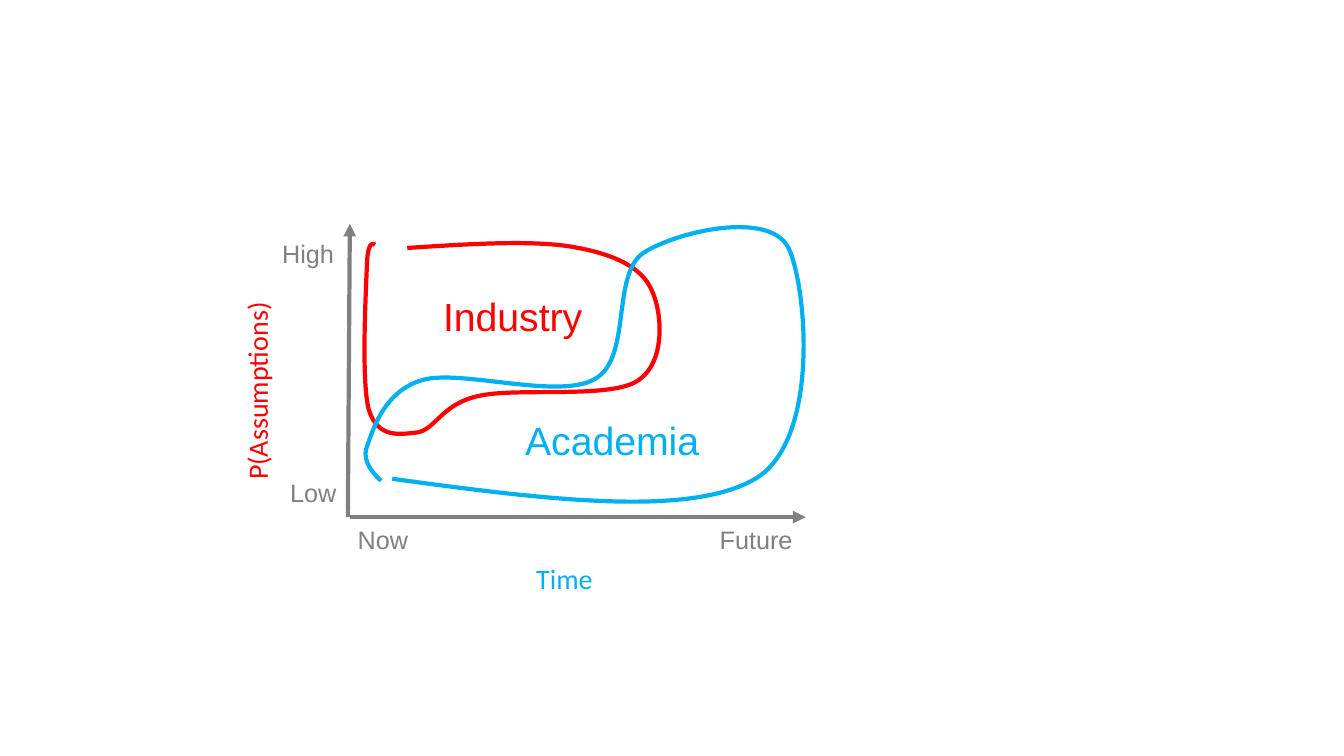
import pptx
import pptx.dml.color
import pptx.enum.dml
import pptx.enum.shapes
import pptx.enum.text
import pptx.oxml
import pptx.oxml.ns
import pptx.util
from dataclasses import dataclass

Inches = pptx.util.Inches
qn = pptx.oxml.ns.qn


@dataclass(frozen=True)
class Theme:
    red: str = "FF0000"
    blue: str = "00B0F0"
    grey: str = "808080"
    label_font: str = "Arial"
    title_font: str = "Calibri"
    tick_size: int = 18
    title_size: int = 20
    area_size: int = 28
    stroke: int = 3


class Painter:
    def __init__(self, page, theme):
        self.page = page
        self.theme = theme

    def style_text(self, para, font, size, color):
        para.font.name = font
        para.font.size = pptx.util.Pt(size)
        para.font.color.rgb = pptx.dml.color.RGBColor.from_string(color)

    def style_line(self, shape, color):
        shape.line.color.rgb = pptx.dml.color.RGBColor.from_string(color)
        shape.line.width = pptx.util.Pt(self.theme.stroke)

    def text(self, words, frame, font, size, color, rotation=0):
        box = self.page.shapes.add_textbox(*map(Inches, frame))
        box.rotation = rotation
        box.text_frame.word_wrap = False
        box.text_frame.auto_size = pptx.enum.text.MSO_AUTO_SIZE.SHAPE_TO_FIT_TEXT
        para = box.text_frame.paragraphs[0]
        para.text = words
        self.style_text(para, font, size, color)

    def arrow(self, start, end, color):
        line = self.page.shapes.add_connector(
            pptx.enum.shapes.MSO_CONNECTOR.STRAIGHT, *map(Inches, start + end))
        self.style_line(line, color)
        outline = line.line._get_or_add_ln()
        outline.append(pptx.oxml.parse_xml(
            f'<a:tailEnd {pptx.oxml.ns.nsdecls("a")} type="triangle"/>'))
        line._element.spPr.append(pptx.oxml.parse_xml(
            f'<a:effectLst {pptx.oxml.ns.nsdecls("a")}/>'))

    def curve(self, points, frame, color):
        """Draw cubic curves: a start, then two controls and an end per segment."""
        points = [(Inches(x), Inches(y)) for x, y in points]
        builder = self.page.shapes.build_freeform(*points[0])
        builder.add_line_segments(points[1:], close=False)
        shape = builder.convert_to_shape()
        shape.shadow.inherit = False
        shape.fill.background()
        self.style_line(shape, color)

        # Fit the frame to the curve itself, not to its control points
        left, top, width, height = map(Inches, frame)
        shape.left, shape.top, shape.width, shape.height = left, top, width, height
        outline = shape._element.spPr.find(".//" + qn("a:path"))
        outline.set("w", str(width))
        outline.set("h", str(height))
        for node, (x, y) in zip(outline.iter(qn("a:pt")), points):
            node.set("x", str(x - left))
            node.set("y", str(y - top))

        # Merge each three straight steps into one cubic segment
        steps = outline.findall(qn("a:lnTo"))
        for first in range(0, len(steps), 3):
            cubic = outline.makeelement(qn("a:cubicBezTo"))
            for step in steps[first:first + 3]:
                cubic.append(step[0])
                outline.remove(step)
            outline.append(cubic)
        return shape

    def caption(self, shape, words, font, size, color, bottom):
        frame = shape.text_frame
        frame.vertical_anchor = pptx.enum.text.MSO_ANCHOR.MIDDLE
        frame.margin_bottom = Inches(bottom)
        para = frame.paragraphs[0]
        para.text = words
        para.alignment = pptx.enum.text.PP_ALIGN.CENTER
        self.style_text(para, font, size, color)


theme = Theme()
deck = pptx.Presentation()
deck.slide_width, deck.slide_height = Inches(13.33), Inches(7.5)
painter = Painter(deck.slides.add_slide(deck.slide_layouts[6]), theme)

# Axis titles
painter.text("Time", (5.22, 5.52, 0.93, 0.44),
             theme.title_font, theme.title_size, theme.blue)
painter.text("P(Assumptions)", (1.36, 3.45, 2.38, 0.44),
             theme.title_font, theme.title_size, theme.red, rotation=270)

# Axis end labels
for words, left, top, width in [
    ("High", 2.7, 2.32, 0.74),
    ("Now", 3.45, 5.15, 0.73),
    ("Future", 7.04, 5.15, 0.93),
    ("Low", 2.78, 4.69, 0.66),
]:
    painter.text(words, (left, top, width, 0.4),
                 theme.label_font, theme.tick_size, theme.grey)

# Axes
painter.arrow((3.47, 5.13), (7.99, 5.13), theme.grey)
painter.arrow((3.45, 5.13), (3.47, 2.22), theme.grey)

# Industry area
industry = painter.curve([
    (4.04, 2.46),
    (4.66, 2.42), (5.28, 2.38), (5.68, 2.45),
    (6.09, 2.52), (6.36, 2.65), (6.46, 2.87),
    (6.57, 3.09), (6.61, 3.6), (6.32, 3.78),
    (6.04, 3.96), (5.11, 3.84), (4.74, 3.93),
    (4.38, 4.01), (4.32, 4.26), (4.14, 4.29),
    (3.96, 4.31), (3.75, 4.35), (3.66, 4.07),
    (3.58, 3.79), (3.63, 2.89), (3.64, 2.62),
    (3.65, 2.35), (3.72, 2.43), (3.72, 2.43),
], (3.62, 2.41, 2.93, 1.89), theme.red)
painter.caption(industry, "Industry", theme.label_font, theme.area_size,
                theme.red, bottom=0.5)

# Academia area
painter.curve([
    (3.89, 4.75),
    (5.36, 4.95), (6.83, 5.14), (7.49, 4.75),
    (8.14, 4.37), (8, 2.83), (7.82, 2.46),
    (7.63, 2.08), (6.7, 2.3), (6.38, 2.51),
    (6.06, 2.73), (6.27, 3.55), (5.9, 3.76),
    (5.54, 3.97), (4.57, 3.66), (4.19, 3.77),
    (3.81, 3.88), (3.7, 4.26), (3.64, 4.43),
    (3.57, 4.6), (3.78, 4.77), (3.78, 4.77),
], (3.62, 2.25, 4.35, 2.72), theme.blue)
painter.text("Academia", (5.11, 4.08, 1.96, 0.57),
             theme.label_font, theme.area_size, theme.blue)

deck.save("out.pptx")
